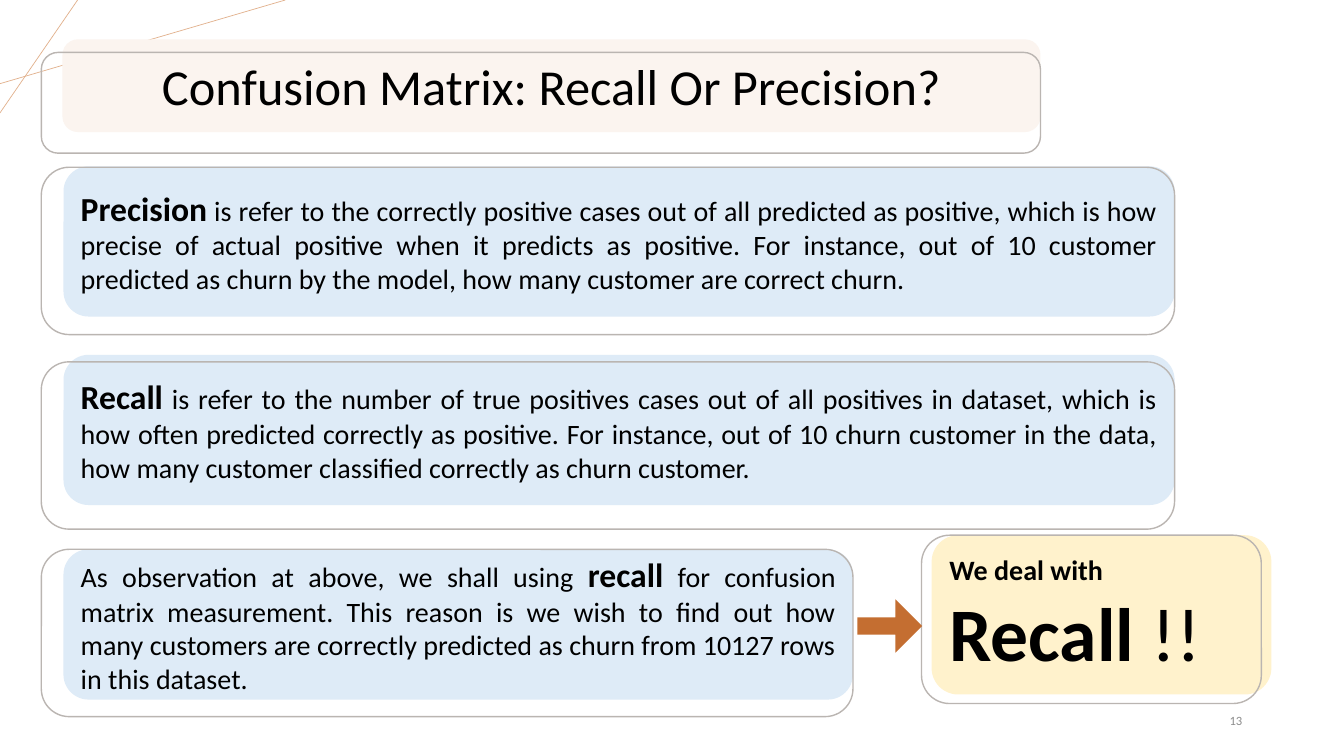
from lxml.etree import SubElement
from pptx import Presentation
from pptx.dml.color import RGBColor
from pptx.enum.shapes import MSO_CONNECTOR as Connector, MSO_SHAPE as Shape
from pptx.enum.text import MSO_ANCHOR as Anchor, PP_ALIGN as Align
from pptx.oxml.ns import qn
from pptx.util import Inches, Pt

FONT = "Calibri"
COLORS = {
    "text": "000000",
    "number": "8C8C8C",
    "ray": "E2B18D",
    "frame": "BAB5B1",
    "title": "FBF4EF",
    "definition": "DEEBF7",
    "verdict": "FFF2CC",
    "arrow": "C46E31",
}
FRAME_LEFT = 0.41
CARD_LEFT = 0.63
CARD_HEIGHT = 1.49
FRAME_HEIGHT = 1.66

PRECISION = [
    ("Precision", 24, True),
    (" is refer to the correctly positive cases out of all predicted as positive, "
     "which is how precise of actual positive when it predicts as positive. For instance, "
     "out of 10 customer predicted as churn by the model, how many customer are correct "
     "churn.", 20, False),
]
RECALL = [
    ("Recall", 24, True),
    (" is refer to the number of true positives cases out of all positives in dataset, "
     "which is how often predicted correctly as positive. For instance, out of 10 churn "
     "customer in the data, how many customer classified correctly as churn customer.",
     20, False),
]
CONCLUSION = [
    ("As observation at above, we shall using ", 20, False),
    ("recall", 24, True),
    (" for confusion matrix measurement. This reason is we wish to find out how many "
     "customers are correctly predicted as churn from 10127 rows in this dataset.",
     20, False),
]
VERDICT = [("We deal with ", 20, True), ("Recall", 54, True), (" !!", 54, False)]


def color(name):
    return RGBColor.from_string(COLORS[name])


def inches(box):
    return [Inches(value) for value in box]


def add_block(slide, kind, box, fill=None, line=None):
    shape = slide.shapes.add_shape(kind, *inches(box))
    shape.shadow.inherit = False
    if fill:
        shape.fill.solid()
        shape.fill.fore_color.rgb = color(fill)
    else:
        shape.fill.background()
    if line:
        shape.line.color.rgb = color(line)
        shape.line.width = Pt(1)
    else:
        shape.line.fill.background()
    return shape


def write(shape, runs, align, text_color="text"):
    frame = shape.text_frame
    frame.word_wrap = True
    frame.vertical_anchor = Anchor.MIDDLE
    paragraph = frame.paragraphs[0]
    paragraph.alignment = align
    paragraph.font.name = FONT
    paragraph.font.color.rgb = color(text_color)
    for text, size, bold in runs:
        run = paragraph.add_run()
        run.text = text
        run.font.name = FONT
        run.font.size = Pt(size)
        run.font.bold = bold
        run.font.color.rgb = color(text_color)


def add_panel(slide, card, frame, fill, runs, align):
    """A filled card with text, overlaid by an offset outline."""
    write(add_block(slide, Shape.ROUNDED_RECTANGLE, card, fill=fill), runs, align)
    add_block(slide, Shape.ROUNDED_RECTANGLE, frame, line="frame")


def add_definition(slide, card_top, frame_top, right, runs):
    card = (CARD_LEFT, card_top, right - CARD_LEFT, CARD_HEIGHT)
    frame = (FRAME_LEFT, frame_top, right - FRAME_LEFT, FRAME_HEIGHT)
    add_panel(slide, card, frame, "definition", runs, Align.JUSTIFY)


def add_rays(slide):
    for ends in ((0, 0.83, 2.83, 0), (0.77, 0, 0, 1.12)):
        ray = slide.shapes.add_connector(Connector.STRAIGHT, *inches(ends))
        ray.line.color.rgb = color("ray")
        ray.line.width = Pt(0.5)
        SubElement(ray._element.spPr, qn("a:effectLst"))


def add_slide_number(slide, box):
    number = slide.shapes.add_textbox(*inches(box))
    write(number, [("13", 9, False)], Align.RIGHT, "number")


def add_arrow(slide, box):
    arrow = add_block(slide, Shape.DOWN_ARROW, box, fill="arrow")
    arrow.rotation = 270
    arrow.adjustments[0] = 0.318
    arrow.adjustments[1] = 0.5


def main():
    presentation = Presentation()
    presentation.slide_width = Inches(13.33)
    presentation.slide_height = Inches(7.5)
    slide = presentation.slides.add_slide(presentation.slide_layouts[6])

    # Corner decoration and page number
    add_rays(slide)
    add_slide_number(slide, (9.42, 6.95, 3, 0.4))

    # Title
    add_panel(slide, (0.62, 0.39, 9.7, 0.92), (FRAME_LEFT, 0.52, 9.91, 1), "title",
              [("Confusion Matrix: Recall Or Precision?", 36, False)], Align.CENTER)

    # Definitions and conclusion
    add_definition(slide, 1.65, 1.66, 11.65, PRECISION)
    add_definition(slide, 3.52, 3.59, 11.65, RECALL)
    add_definition(slide, 5.45, 5.45, 8.46, CONCLUSION)

    # Verdict
    add_panel(slide, (9.24, 5.31, 3.37, 1.58), (9.14, 5.31, 3.37, 1.67), "verdict",
              VERDICT, Align.LEFT)
    add_arrow(slide, (8.56, 5.89, 0.53, 0.64))

    presentation.save("out.pptx")


if __name__ == "__main__":
    main()
